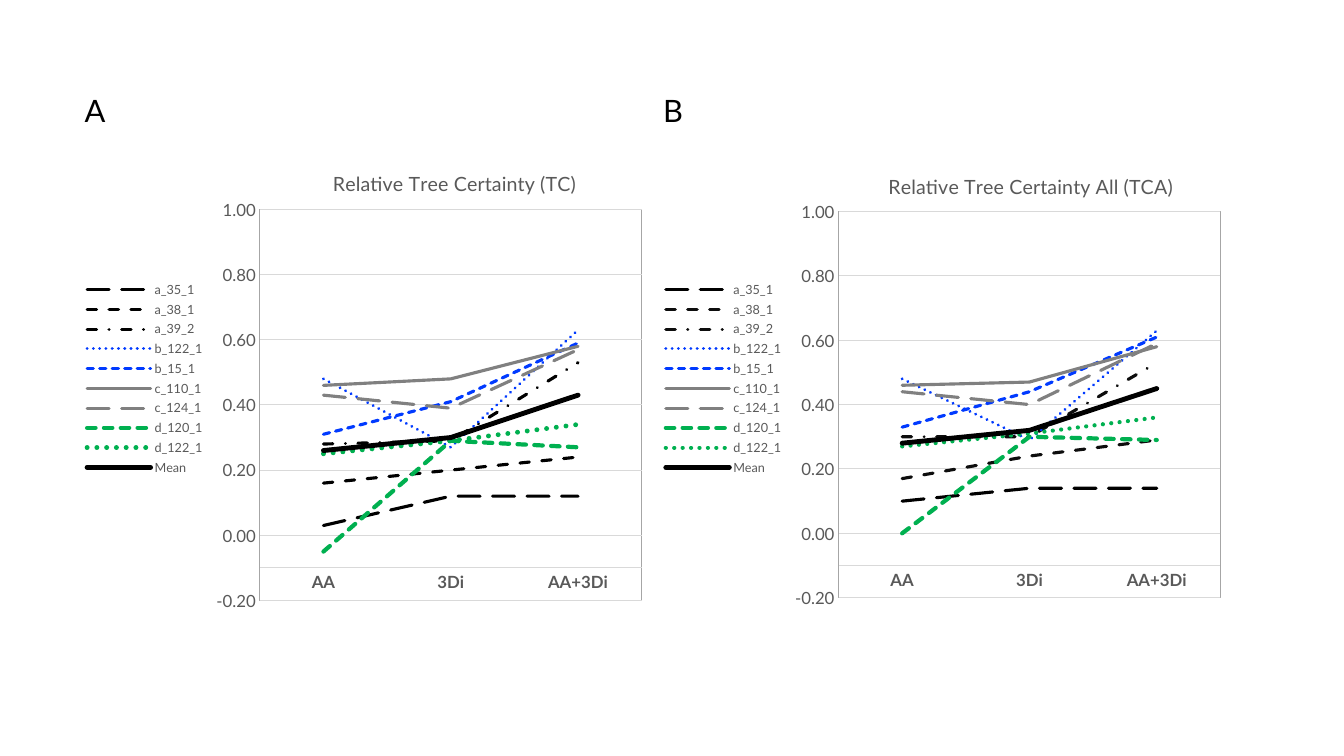
from lxml.etree import SubElement
from pptx import Presentation
from pptx.chart.data import CategoryChartData
from pptx.dml.color import RGBColor
from pptx.enum.chart import XL_CHART_TYPE as ChartType
from pptx.enum.chart import XL_LEGEND_POSITION as LegendPosition
from pptx.enum.chart import XL_MARKER_STYLE as Marker
from pptx.enum.chart import XL_TICK_MARK as TickMark
from pptx.enum.dml import MSO_LINE as Dash
from pptx.enum.text import MSO_AUTO_SIZE as AutoSize
from pptx.enum.text import PP_ALIGN as Align
from pptx.oxml import parse_xml
from pptx.oxml.ns import nsdecls, qn
from pptx.util import Inches, Pt

FONT = "Lato"
COLORS = {
    "black": "000000", "ink": "0D0D0D", "blue": "003AFF", "gray": "808080",
    "green": "00B050", "text": "595959", "grid": "D9D9D9", "frame": "A6A6A6",
}
MARGIN, COLUMN = 0.74, 5.74
LETTER_TOP, LETTER_SIZE = 0.86, (0.36, 0.47)
PLOT_SHARES = {"x": 0.32, "y": 0.15, "w": 0.66, "h": 0.81}
CATEGORIES = ("AA", "3Di", "AA+3Di")

# Series name: colour, width in points, dash
STYLES = {
    "a_35_1": ("black", 2.25, Dash.LONG_DASH),
    "a_38_1": ("black", 2.25, Dash.DASH),
    "a_39_2": ("black", 2.25, Dash.DASH_DOT),
    "b_122_1": ("blue", 2.25, Dash.ROUND_DOT),
    "b_15_1": ("blue", 2.25, Dash.SQUARE_DOT),
    "c_110_1": ("gray", 2.25, Dash.SOLID),
    "c_124_1": ("gray", 2.25, Dash.LONG_DASH),
    "d_120_1": ("green", 3, Dash.SQUARE_DOT),
    "d_122_1": ("green", 3, Dash.ROUND_DOT),
    "Mean": ("black", 3.5, Dash.SOLID),
}
PANELS = [
    {
        "letter": "A", "title": "Relative Tree Certainty (TC)",
        "top": 1.36, "height": 4.79, "title_shares": {"x": 0.44, "y": 0.06},
        "styles": STYLES | {"d_122_1": ("green", 3.5, Dash.ROUND_DOT)},
        "values": [
            (0.03, 0.12, 0.12), (0.16, 0.2, 0.24), (0.28, 0.29, 0.53),
            (0.48, 0.27, 0.63), (0.31, 0.41, 0.59), (0.46, 0.48, 0.58),
            (0.43, 0.39, 0.57), (-0.05, 0.29, 0.27), (0.25, 0.29, 0.34),
            (0.26, 0.3, 0.43),
        ],
    },
    {
        "letter": "B", "title": "Relative Tree Certainty All (TCA)",
        "top": 1.39, "height": 4.73, "title_shares": {"x": 0.4, "y": 0.06},
        "styles": STYLES | {"a_38_1": ("ink", 2.25, Dash.DASH),
                            "a_39_2": ("ink", 2.25, Dash.DASH_DOT)},
        "values": [
            (0.1, 0.14, 0.14), (0.17, 0.24, 0.29), (0.3, 0.3, 0.53),
            (0.48, 0.29, 0.63), (0.33, 0.44, 0.61), (0.46, 0.47, 0.58),
            (0.44, 0.4, 0.59), (0, 0.3, 0.29), (0.27, 0.31, 0.36),
            (0.28, 0.32, 0.45),
        ],
    },
]


def rgb(color):
    return RGBColor.from_string(COLORS[color])


def format_font(font, size, color="text", bold=False):
    font.name, font.size, font.bold = FONT, Pt(size), bold
    font.color.rgb = rgb(color)


def format_line(line, color, width=0.75):
    line.color.rgb = rgb(color)
    line.width = Pt(width)


def set_layout(element, shares):
    """Place a chart title or plot area by shares of the chart's size."""
    for old_layout in element.findall(qn("c:layout")):
        element.remove(old_layout)
    layout = parse_xml(f"<c:layout {nsdecls('c')}/>")
    manual = SubElement(layout, qn("c:manualLayout"))
    if "w" in shares:
        SubElement(manual, qn("c:layoutTarget")).set("val", "inner")
    for key in ("x", "y"):
        SubElement(manual, qn(f"c:{key}Mode")).set("val", "edge")
    for key, share in shares.items():
        SubElement(manual, qn(f"c:{key}")).set("val", str(share))
    text = element.find(qn("c:tx"))
    element.insert(0 if text is None else 1, layout)


def frame_plot(plot_area):
    plot_area.append(parse_xml(
        f'<c:spPr {nsdecls("c", "a")}><a:noFill/><a:ln w="{Pt(0.75)}"><a:solidFill>'
        f'<a:srgbClr val="{COLORS["frame"]}"/></a:solidFill></a:ln></c:spPr>'))


def format_axes(chart):
    for axis, bold in ((chart.category_axis, True), (chart.value_axis, False)):
        axis.major_tick_mark = axis.minor_tick_mark = TickMark.NONE
        format_font(axis.tick_labels.font, 12, bold=bold)
    format_line(chart.category_axis.format.line, "grid")
    values = chart.value_axis
    values.minimum_scale, values.maximum_scale, values.major_unit = -0.2, 1, 0.2
    values.crosses_at = -0.1
    values.tick_labels.number_format = "0.00"
    values.tick_labels.number_format_is_linked = False
    values.format.line.fill.background()
    format_line(values.major_gridlines.format.line, "grid")


def format_series(series, color, width, dash):
    series.smooth = False
    series.marker.style = Marker.NONE
    line = series.format.line
    format_line(line, color, width)
    line.dash_style = dash
    series.format._element.spPr.find(qn("a:ln")).set("cap", "rnd") if hasattr(
        series.format._element, "spPr") else None


def add_line_chart(slide, panel, left):
    data = CategoryChartData(number_format="0.00")
    data.categories = CATEGORIES
    for name, values in zip(panel["styles"], panel["values"]):
        data.add_series(name, values)
    chart = slide.shapes.add_chart(
        ChartType.LINE, Inches(left), Inches(panel["top"]),
        Inches(COLUMN), Inches(panel["height"]), data).chart
    format_font(chart.font, 10, "black")

    title = chart.chart_title
    title.text_frame.text = panel["title"]
    format_font(title.text_frame.paragraphs[0].runs[0].font, 14)
    set_layout(title._element, panel["title_shares"])

    chart.has_legend = True
    chart.legend.position = LegendPosition.LEFT
    chart.legend.include_in_layout = False
    format_font(chart.legend.font, 9)

    format_axes(chart)
    chart.plots[0].vary_by_categories = False
    for series in chart.plots[0].series:
        format_series(series, *panel["styles"][series.name])
    plot_area = chart._chartSpace.chart.plotArea
    set_layout(plot_area, PLOT_SHARES)
    frame_plot(plot_area)


def add_letter(slide, letter, left):
    width, height = LETTER_SIZE
    box = slide.shapes.add_textbox(
        Inches(left), Inches(LETTER_TOP), Inches(width), Inches(height))
    frame = box.text_frame
    frame.word_wrap = True
    frame.auto_size = AutoSize.SHAPE_TO_FIT_TEXT
    frame.text = letter
    paragraph = frame.paragraphs[0]
    paragraph.alignment = Align.CENTER
    format_font(paragraph.runs[0].font, 22, "black")


def main():
    presentation = Presentation()
    presentation.slide_width, presentation.slide_height = Inches(13.33), Inches(7.5)
    slide = presentation.slides.add_slide(presentation.slide_layouts[6])
    for index, panel in enumerate(PANELS):
        left = MARGIN + index * COLUMN
        add_line_chart(slide, panel, left)
        add_letter(slide, panel["letter"], left)
    presentation.save("out.pptx")


if __name__ == "__main__":
    main()
